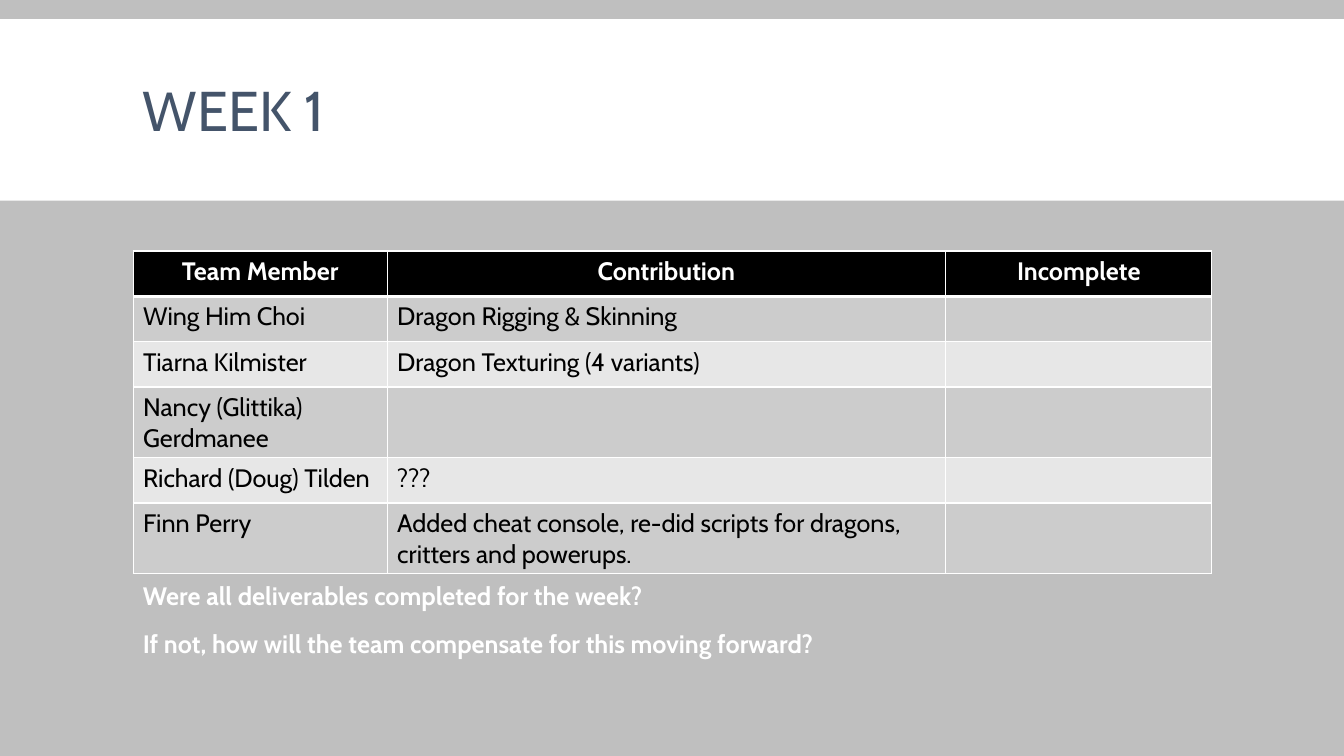
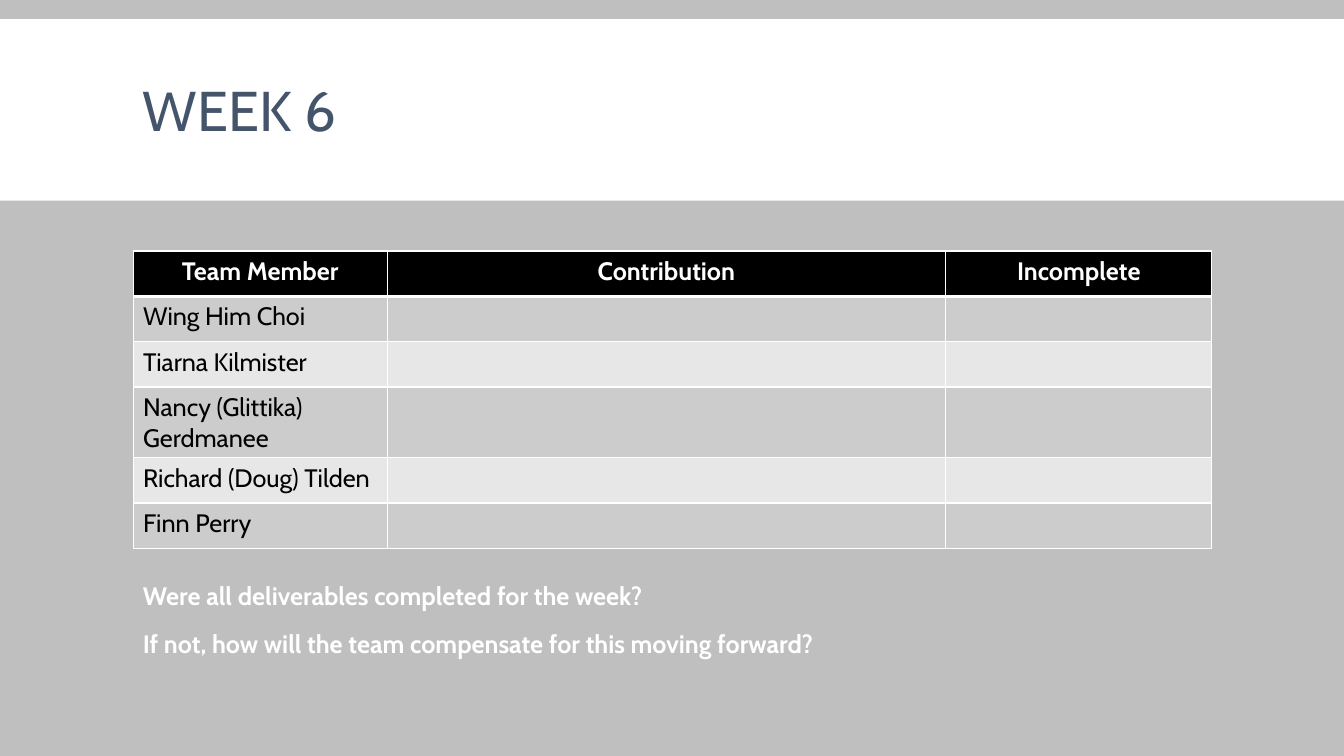
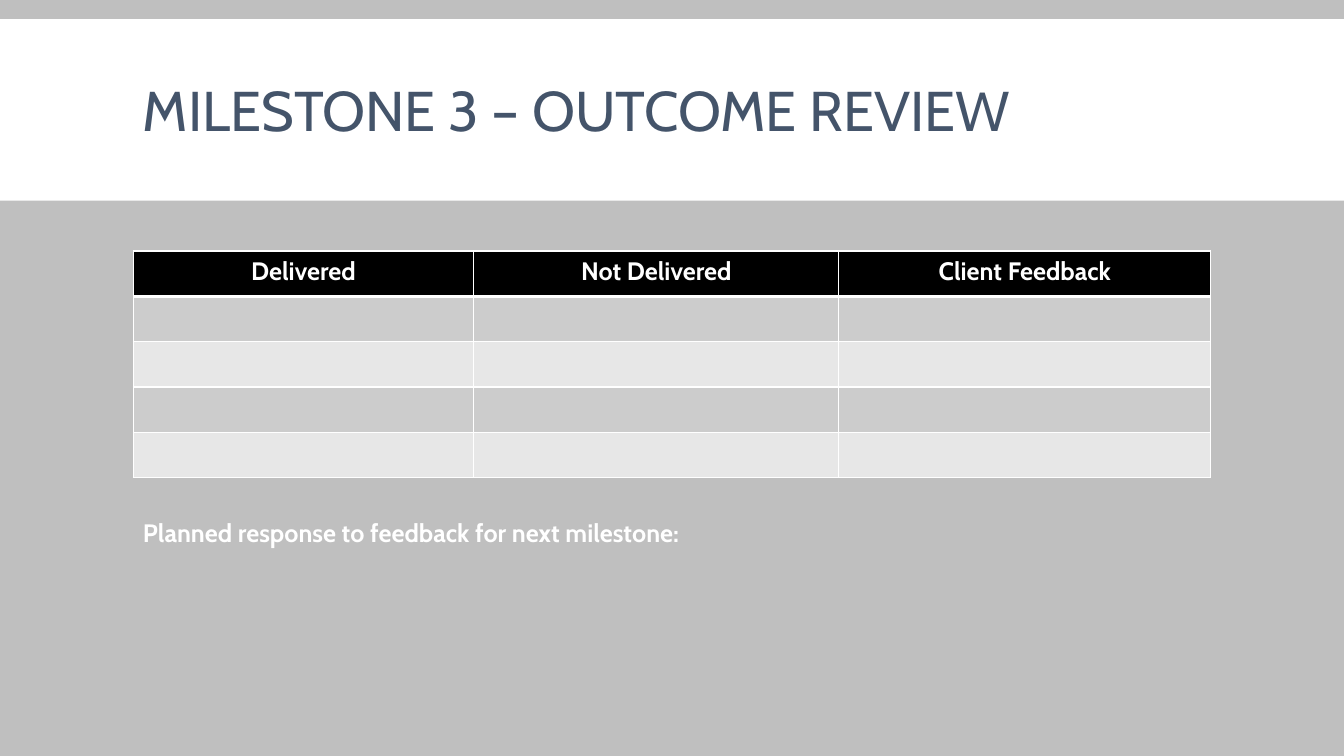
"""Build the weekly progress and milestone review slides."""
from pptx import Presentation
from pptx.dml.color import RGBColor
from pptx.enum.shapes import MSO_SHAPE as Preset
from pptx.enum.text import MSO_ANCHOR as Anchor, PP_ALIGN as Align
from pptx.oxml.xmlchemy import OxmlElement
from pptx.util import Inches, Pt

WHITE = RGBColor(0xFF, 0xFF, 0xFF)
BLACK = RGBColor(0x00, 0x00, 0x00)
SLATE = RGBColor(0x44, 0x54, 0x6A)
BACKDROP = RGBColor(0xBF, 0xBF, 0xBF)
BAND_DARK = RGBColor(0xCC, 0xCC, 0xCC)
BAND_LIGHT = RGBColor(0xE7, 0xE7, 0xE7)

FONT = "Cabin"
LEFT, WIDTH = Inches(1.32), Inches(10.7)
TABLE_TOP, ROW_HEIGHT = Inches(2.49), Inches(0.45)
TITLE_FONT = {"size": Pt(40), "bold": False}
STRONG_FONT = {"size": Pt(18), "bold": True}
PLAIN_FONT = {"size": Pt(18), "bold": False}
TITLE_SPACING = {"line_spacing": 0.85}
BODY_SPACING = {"line_spacing": 0.95, "space_before": Pt(12), "space_after": Pt(2)}

WEEK_HEADER = ["Team Member", "Contribution", "Incomplete"]
WEEK_COLUMNS = [2.52, 5.54, 2.64]
MEMBERS = ["Wing Him Choi", "Tiarna Kilmister", "Nancy (Glittika) Gerdmanee",
           "Richard (Doug) Tilden", "Finn Perry"]
WEEK_1_WORK = ["Dragon Rigging & Skinning", "Dragon Texturing (4 variants)", "", "???",
               "Added cheat console, re-did scripts for dragons, critters and powerups."]
WEEK_QUESTIONS = ["Were all deliverables completed for the week?",
                  "If not, how will the team compensate for this moving forward?"]

PAGES = [
    {"title": "WEEK 1", "columns": WEEK_COLUMNS,
     "rows": [WEEK_HEADER] + [[name, work, ""] for name, work in zip(MEMBERS, WEEK_1_WORK)],
     "notes_top": 5.73, "notes": WEEK_QUESTIONS},
    {"title": "WEEK 6", "columns": WEEK_COLUMNS,
     "rows": [WEEK_HEADER] + [[name, "", ""] for name in MEMBERS],
     "notes_top": 5.73, "notes": WEEK_QUESTIONS},
    {"title": "MILESTONE 3 – OUTCOME REVIEW", "columns": [3.38, 3.62, 3.69],
     "rows": [["Delivered", "Not Delivered", "Client Feedback"]] + [["", "", ""]] * 4,
     "notes_top": 5.1, "notes": ["Planned response to feedback for next milestone:"]},
]


def write(para, text, color, font_format, para_format):
    """Add one formatted span of text to a paragraph."""
    for name, value in para_format.items():
        setattr(para, name, value)
    span = para.add_run()
    span.text = text
    span.font.name = FONT
    span.font.color.rgb = color
    for name, value in font_format.items():
        setattr(span.font, name, value)


def add_border(cell, side, points):
    """Draw a white line on one side of a table cell."""
    line = OxmlElement(f"a:ln{side}")
    line.set("w", str(Pt(points)))
    fill = OxmlElement("a:solidFill")
    color = OxmlElement("a:srgbClr")
    color.set("val", str(WHITE))
    fill.append(color)
    line.append(fill)
    cell._tc.get_or_add_tcPr().append(line)


deck = Presentation()
deck.slide_width, deck.slide_height = Inches(13.33), Inches(7.5)
backdrop = deck.slide_master.background.fill
backdrop.solid()
backdrop.fore_color.rgb = BACKDROP

for page in PAGES:
    slide = deck.slides.add_slide(deck.slide_layouts[6])

    band = slide.shapes.add_shape(Preset.RECTANGLE, 0, Inches(0.19), deck.slide_width, Inches(1.8))
    band.shadow.inherit = False
    band.fill.solid()
    band.fill.fore_color.rgb = WHITE
    band.line.fill.background()

    title_box = slide.shapes.add_textbox(LEFT, Inches(0.31), WIDTH, Inches(1.65))
    title_box.text_frame.word_wrap = True
    title_box.text_frame.vertical_anchor = Anchor.MIDDLE
    write(title_box.text_frame.paragraphs[0], page["title"], SLATE, TITLE_FONT, TITLE_SPACING)

    rows = page["rows"]
    table = slide.shapes.add_table(len(rows), len(page["columns"]), LEFT, TABLE_TOP,
                                   WIDTH, ROW_HEIGHT * len(rows)).table
    for column, width in zip(table.columns, page["columns"]):
        column.width = Inches(width)
    for row_index, texts in enumerate(rows):
        table.rows[row_index].height = ROW_HEIGHT
        is_header = row_index == 0
        if is_header:
            fill_color, text_color, font_format, align = BLACK, WHITE, STRONG_FONT, Align.CENTER
        else:
            fill_color = BAND_DARK if row_index % 2 else BAND_LIGHT
            text_color, font_format, align = BLACK, PLAIN_FONT, Align.LEFT
        borders = {"L": 1, "R": 1, "T": 3 if row_index == 1 else 1, "B": 3 if is_header else 1}
        for column_index, text in enumerate(texts):
            cell = table.cell(row_index, column_index)
            for side, points in borders.items():
                add_border(cell, side, points)
            cell.fill.solid()
            cell.fill.fore_color.rgb = fill_color
            if text:
                write(cell.text_frame.paragraphs[0], text, text_color, font_format,
                      {"alignment": align})

    notes_box = slide.shapes.add_textbox(LEFT, Inches(page["notes_top"]), WIDTH, Inches(0.88))
    frame = notes_box.text_frame
    frame.word_wrap = True
    for index, note in enumerate(page["notes"]):
        para = frame.add_paragraph() if index else frame.paragraphs[0]
        write(para, note, WHITE, STRONG_FONT, BODY_SPACING)

deck.save("out.pptx")
